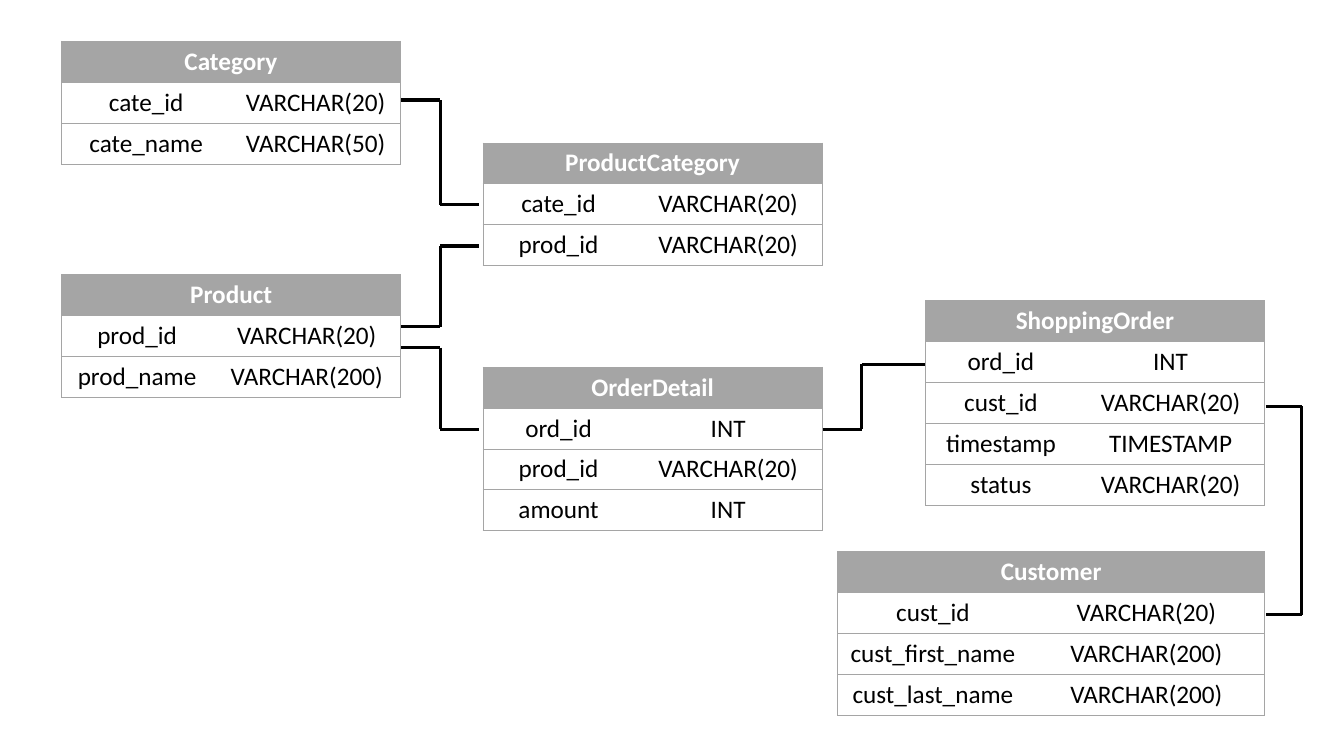
from lxml import etree
from pptx import Presentation
from pptx.dml.color import RGBColor
from pptx.enum.shapes import MSO_CONNECTOR
from pptx.enum.text import MSO_ANCHOR, PP_ALIGN
from pptx.oxml.ns import qn
from pptx.util import Cm, Pt

STRAIGHT = MSO_CONNECTOR.STRAIGHT
MIDDLE = MSO_ANCHOR.MIDDLE
CENTER = PP_ALIGN.CENTER

COLORS = {"header": "A5A5A5", "paper": "FFFFFF", "ink": "000000"}
ROW_HEIGHT = 1.03
BORDER_WIDTH = Pt(0.5)


class SchemaPage:
    """Style and current slide of the schema diagram."""

    font = "Calibri"
    text_size = Pt(18)
    link_width = Pt(2.25)

    def __init__(self, deck):
        self.page = deck.slides.add_slide(deck.slide_layouts[6])

    def color(self, name):
        return RGBColor.from_string(COLORS[name])

    def borders(self, cell, sides):
        """Draw the named sides and leave the other ones without a line."""
        properties = cell._tc.get_or_add_tcPr()
        for index, side in enumerate("LRTB"):
            line = etree.Element(qn(f"a:ln{side}"), w=str(BORDER_WIDTH))
            if side in sides:
                fill = etree.SubElement(line, qn("a:solidFill"))
                etree.SubElement(fill, qn("a:srgbClr"), val=COLORS["header"])
            else:
                etree.SubElement(line, qn("a:noFill"))
            properties.insert(index, line)

    def cell(self, cell, text, fill, ink, sides, bold=False):
        cell.fill.solid()
        cell.fill.fore_color.rgb = self.color(fill)
        self.borders(cell, sides)
        cell.vertical_anchor = MIDDLE
        cell.text_frame.text = text
        para = cell.text_frame.paragraphs[0]
        para.alignment = CENTER
        for span in para.runs:
            span.font.name = self.font
            span.font.size = self.text_size
            span.font.bold = bold
            span.font.color.rgb = self.color(ink)

    def entity(self, name, left, top, widths, fields):
        """Table with a merged name row above the field rows."""
        row_count = len(fields) + 1
        table = self.page.shapes.add_table(
            row_count, 2, Cm(left), Cm(top),
            Cm(sum(widths)), Cm(ROW_HEIGHT * row_count)).table
        table.horz_banding = False
        for column, width in zip(table.columns, widths):
            column.width = Cm(width)
        for row in table.rows:
            row.height = Cm(ROW_HEIGHT)

        header = table.cell(0, 0)
        header.merge(table.cell(0, 1))
        self.cell(header, name, "header", "paper", "LRTB", bold=True)
        for row, field in enumerate(fields, start=1):
            for column, text in enumerate(field):
                sides = "LTB" if column == 0 else "RTB"
                self.cell(table.cell(row, column), text, "paper", "ink", sides)

    def line(self, start, end):
        link = self.page.shapes.add_connector(
            STRAIGHT, *(Cm(length) for length in start + end))
        link.line.width = self.link_width
        link.line.color.rgb = self.color("ink")
        etree.SubElement(link._element.spPr, qn("a:effectLst"))

    def relation(self, start, bend, end):
        """Three straight lines that turn at the bend position."""
        points = [start, (bend, start[1]), (bend, end[1]), end]
        for first, second in zip(points, points[1:]):
            self.line(first, second)


deck = Presentation()
deck.slide_width, deck.slide_height = Cm(33.87), Cm(19.05)
schema = SchemaPage(deck)

# Entities: name, left, top, column widths, fields
EVEN, USUAL, WIDE = (4.27, 4.27), (3.81, 4.74), (4.8, 5.96)
ENTITIES = [
    ("Category", 1.55, 1.04, EVEN,
     [("cate_id", "VARCHAR(20)"), ("cate_name", "VARCHAR(50)")]),
    ("Product", 1.55, 6.92, USUAL,
     [("prod_id", "VARCHAR(20)"), ("prod_name", "VARCHAR(200)")]),
    ("ProductCategory", 12.17, 3.6, USUAL,
     [("cate_id", "VARCHAR(20)"), ("prod_id", "VARCHAR(20)")]),
    ("Customer", 21.11, 13.9, WIDE,
     [("cust_id", "VARCHAR(20)"), ("cust_first_name", "VARCHAR(200)"),
      ("cust_last_name", "VARCHAR(200)")]),
    ("ShoppingOrder", 23.32, 7.58, USUAL,
     [("ord_id", "INT"), ("cust_id", "VARCHAR(20)"),
      ("timestamp", "TIMESTAMP"), ("status", "VARCHAR(20)")]),
    ("OrderDetail", 12.17, 9.25, USUAL,
     [("ord_id", "INT"), ("prod_id", "VARCHAR(20)"), ("amount", "INT")]),
]
for entity in ENTITIES:
    schema.entity(*entity)

# Relations: start, bend position, end
RELATIONS = [
    ((10.11, 2.52), 11.1, (12.08, 5.16)),   # Category to ProductCategory
    ((10.11, 8.23), 11.1, (12.08, 6.2)),    # Product to ProductCategory
    ((10.11, 8.76), 11.1, (12.08, 10.82)),  # Product to OrderDetail
    ((20.73, 10.82), 21.72, (23.32, 9.18)),  # OrderDetail to ShoppingOrder
    ((31.9, 10.24), 32.8, (31.9, 15.49)),   # ShoppingOrder to Customer
]
for relation in RELATIONS:
    schema.relation(*relation)

deck.save("out.pptx")
